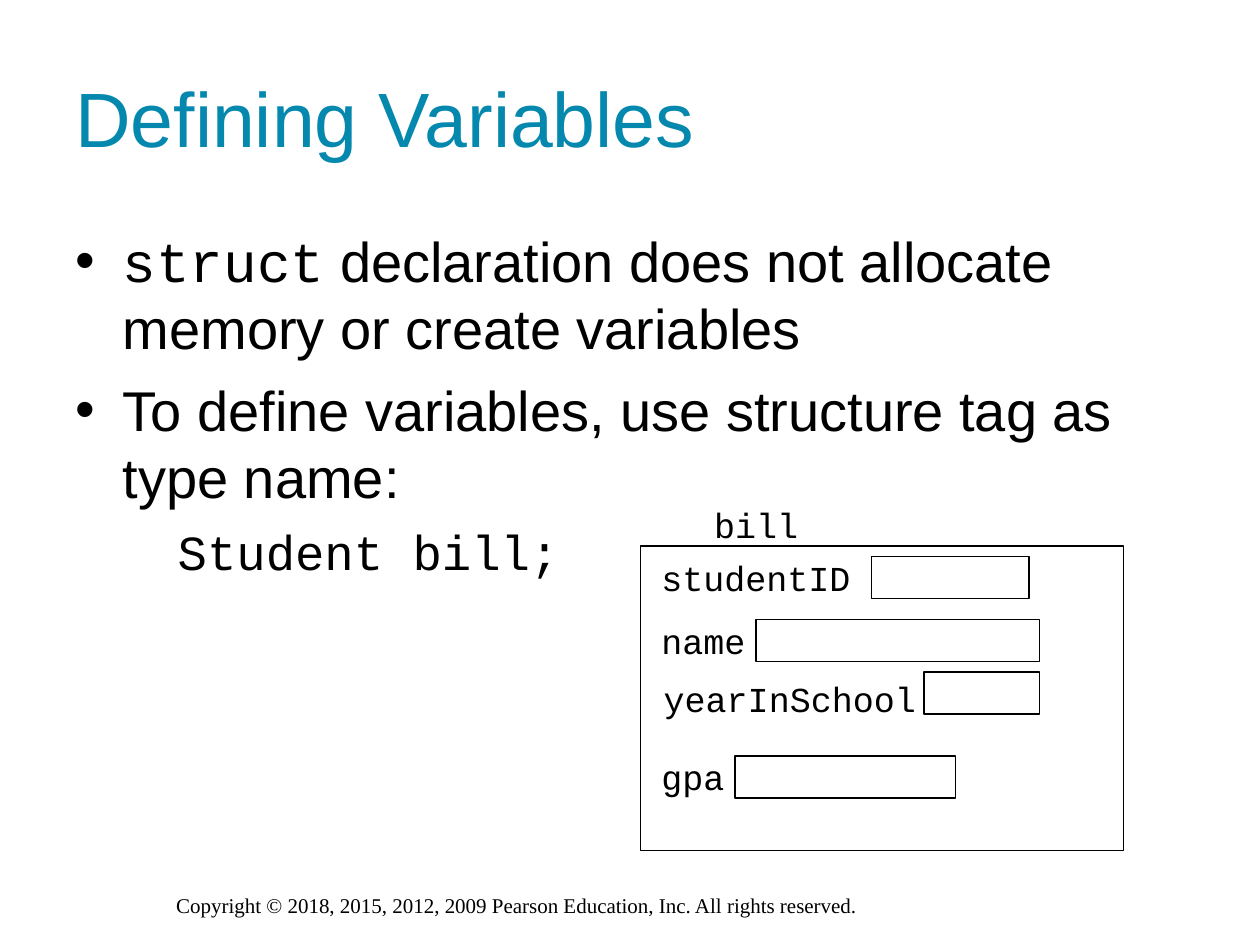
from lxml.etree import SubElement
from pptx import Presentation
from pptx.dml.color import RGBColor
from pptx.enum.shapes import MSO_SHAPE as Shape
from pptx.enum.text import MSO_ANCHOR as Anchor, MSO_AUTO_SIZE as AutoSize
from pptx.oxml.ns import qn
from pptx.util import Pt

BLACK = "000000"
TEAL = "0488AE"
SANS = "Arial"
MONO = "Courier New"
SERIF = "Times New Roman"

FIELDS = [
    ("studentID", 370.8, 314.6, 498, 318, 90),
    ("name", 370.8, 350.6, 432, 354, 162),
    ("yearInSchool", 372.2, 383.8, 528, 384, 66),
    ("gpa", 370.8, 428.4, 420, 432, 126),
]


def color(hex_string):
    return RGBColor.from_string(hex_string)


def add_run(paragraph, text, font, size, hex_string=BLACK):
    run = paragraph.add_run()
    run.text = text
    run.font.name = font
    run.font.size = Pt(size)
    run.font.color.rgb = color(hex_string)


def add_text_box(slide, left, top, width, height):
    box = slide.shapes.add_textbox(Pt(left), Pt(top), Pt(width), Pt(height))
    frame = box.text_frame
    frame.word_wrap = True
    frame.margin_left = frame.margin_right = Pt(7.2)
    frame.margin_top = frame.margin_bottom = Pt(3.6)
    return frame


def add_label(slide, text, left, top):
    frame = add_text_box(slide, left, top, 12 * len(text) + 17, 31.5)
    frame.auto_size = AutoSize.SHAPE_TO_FIT_TEXT
    add_run(frame.paragraphs[0], text, MONO, 20)


def add_outline(slide, left, top, width, height):
    shape = slide.shapes.add_shape(Shape.RECTANGLE, Pt(left), Pt(top), Pt(width), Pt(height))
    shape.shadow.inherit = False
    shape.fill.background()
    shape.line.color.rgb = color(BLACK)
    shape.line.width = Pt(0.75)


def set_indent(paragraph, margin, hanging=0, bullet=None):
    properties = paragraph._p.get_or_add_pPr()
    properties.set("marL", str(Pt(margin)))
    properties.set("indent", str(Pt(-hanging)))
    if bullet:
        SubElement(properties, qn("a:buFont"), typeface=SANS)
        SubElement(properties, qn("a:buChar"), char=bullet)


def add_title(slide):
    frame = add_text_box(slide, 36, 21.6, 648, 90)
    frame.vertical_anchor = Anchor.MIDDLE
    add_run(frame.paragraphs[0], "Defining Variables", SANS, 44, TEAL)


def add_body(slide):
    frame = add_text_box(slide, 36, 126, 648, 356.4)
    first = frame.paragraphs[0]
    second = frame.add_paragraph()
    code = frame.add_paragraph()
    for paragraph in (first, second):
        set_indent(paragraph, 27, 27, "•")
    set_indent(code, 58.5)
    code.level = 1
    second.space_before = Pt(8)
    code.space_before = Pt(7)
    add_run(first, "struct", MONO, 32)
    add_run(first, " declaration does not allocate memory or create variables", SANS, 32)
    add_run(second, "To define variables, use structure tag as type name:", SANS, 32)
    add_run(code, "Student bill;", MONO, 28)


def add_structure(slide):
    add_outline(slide, 366, 312, 276, 174)
    for name, label_left, label_top, left, top, width in FIELDS:
        add_label(slide, name, label_left, label_top)
        add_outline(slide, left, top, width, 24)
    add_label(slide, "bill", 401, 284.4)


def add_copyright(slide):
    frame = add_text_box(slide, 93.6, 506.2, 534.2, 21.6)
    text = "Copyright © 2018, 2015, 2012, 2009 Pearson Education, Inc. All rights reserved."
    add_run(frame.paragraphs[0], text, SERIF, 12)


def main():
    presentation = Presentation()
    presentation.slide_width = Pt(720)
    presentation.slide_height = Pt(540)
    slide = presentation.slides.add_slide(presentation.slide_layouts[6])
    add_copyright(slide)
    add_title(slide)
    add_body(slide)
    add_structure(slide)
    presentation.save("out.pptx")


if __name__ == "__main__":
    main()
